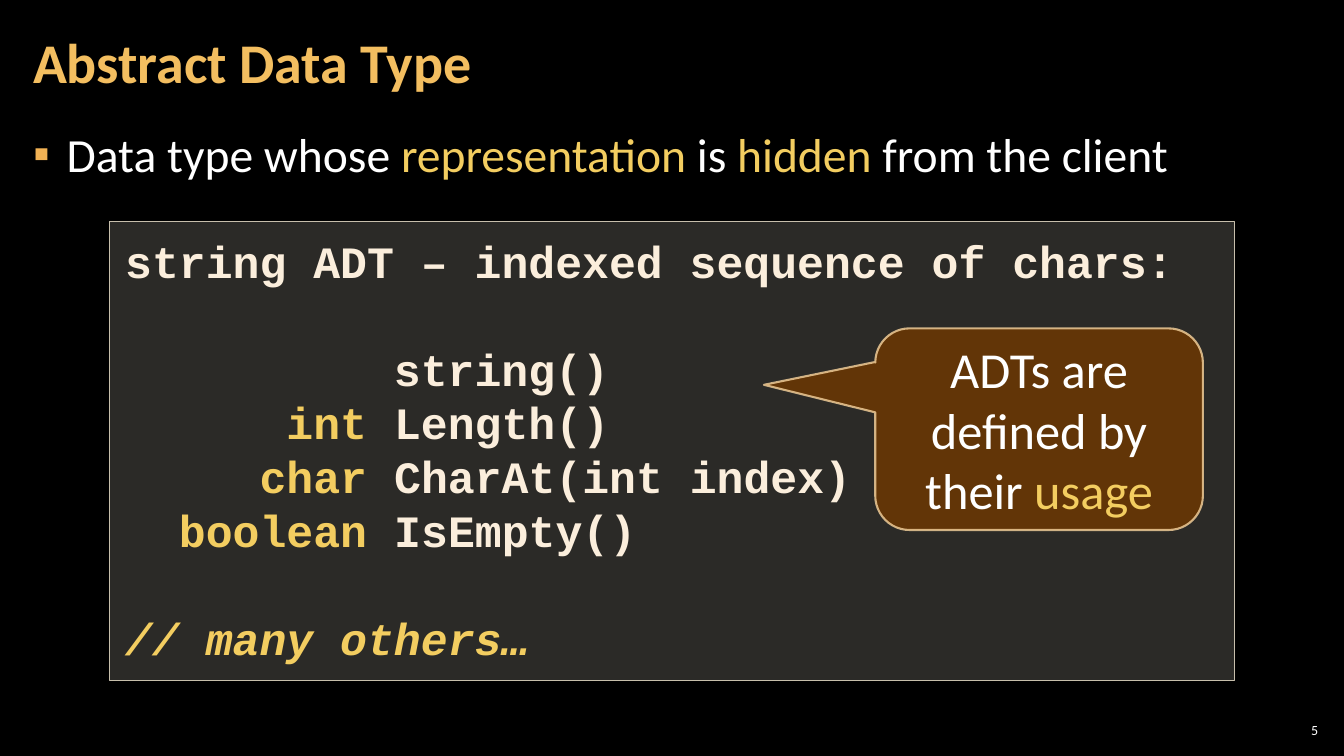
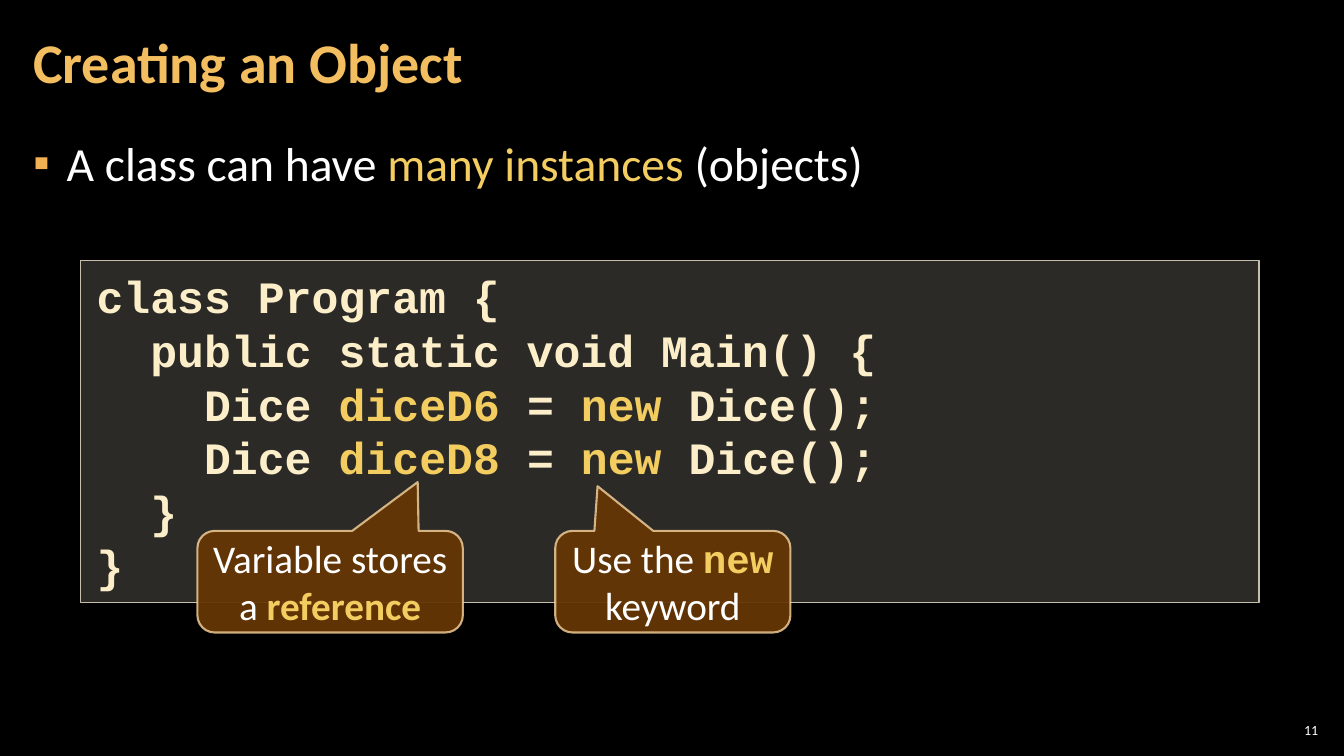
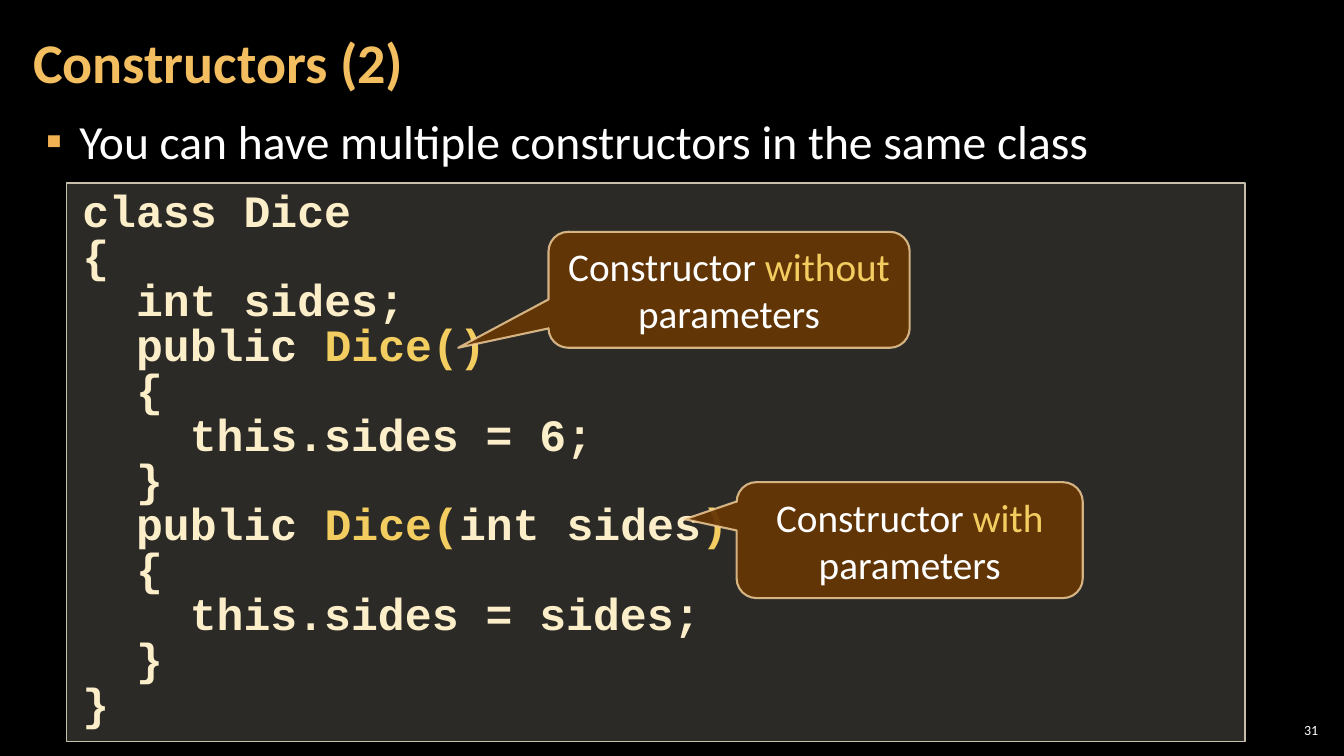
from lxml import etree
from pptx import Presentation
from pptx.dml.color import RGBColor
from pptx.enum.shapes import MSO_SHAPE
from pptx.enum.text import MSO_ANCHOR, MSO_AUTO_SIZE, PP_ALIGN
from pptx.oxml.ns import qn
from pptx.util import Inches, Pt

RECT = MSO_SHAPE.RECTANGLE
CALLOUT = MSO_SHAPE.ROUNDED_RECTANGULAR_CALLOUT
TOP, MIDDLE = MSO_ANCHOR.TOP, MSO_ANCHOR.MIDDLE
LEFT, CENTER, RIGHT = PP_ALIGN.LEFT, PP_ALIGN.CENTER, PP_ALIGN.RIGHT
NO_FIT = MSO_AUTO_SIZE.NONE

COLORS = {
    "back": "000000", "text": "FFFFFF", "title": "F3BE60",
    "accent": "F3CD60", "bullet": "F2B254", "cream": "FBEEDC",
    "code": "FBEEC9", "panel": "D9D5C7", "panel_line": "C7BFAC",
    "callout": "663606", "callout_line": "F8D49E",
}
SANS, MONO = "Calibri", "Courier New"
COLUMNS, ROWS = 160, 90
CODE_SIZE = 32
CHAR_WIDTH = 0.6 * CODE_SIZE
STYLES = {
    "hot": {"color": "accent"},
    "strong": {"color": "accent", "bold": True},
    "mono": {"color": "accent", "bold": True, "font": MONO},
    "note": {"color": "accent", "italic": True},
}


def rgb(name):
    return RGBColor.from_string(COLORS[name])


def set_alpha(fill, percent):
    color = fill._xPr.find(qn("a:solidFill"))[0]
    etree.SubElement(color, qn("a:alpha")).set("val", str(percent * 1000))


class Deck:
    def __init__(self):
        self.prs = Presentation()
        self.prs.slide_width, self.prs.slide_height = Inches(40 / 3), Inches(7.5)
        self.col = self.prs.slide_width / COLUMNS
        self.row = self.prs.slide_height / ROWS
        fill = self.prs.slide_master.background.fill
        fill.solid()
        fill.fore_color.rgb = rgb("back")
        self.s = None

    def box(self, x, y, w, h):
        return (int(x * self.col), int(y * self.row),
                int(w * self.col), int(h * self.row))

    def frame(self, sp, anchor, side, edge):
        tf = sp.text_frame
        tf.auto_size = NO_FIT
        tf.word_wrap = True
        tf.vertical_anchor = anchor
        tf.margin_left = tf.margin_right = int(side * self.col)
        tf.margin_top = tf.margin_bottom = int(edge * self.row)
        return tf

    def add_runs(self, p, parts, size, color="text", font=SANS, bold=False, align=LEFT):
        p.alignment = align
        for part in [parts] if isinstance(parts, str) else parts:
            text, style = (part, {}) if isinstance(part, str) else (part[0], STYLES[part[1]])
            r = p.add_run()
            r.text = text
            r.font.size = Pt(size)
            r.font.name = style.get("font", font)
            r.font.bold = style.get("bold", bold)
            r.font.italic = style.get("italic", False)
            r.font.color.rgb = rgb(style.get("color", color))

    def place(self, sp, at):
        sp.left, sp.top, sp.width, sp.height = self.box(*at)
        return sp

    def slide(self, title, number):
        self.s = self.prs.slides.add_slide(self.prs.slide_layouts[1])
        sp = self.place(self.s.shapes.title, (2.5, 0.5, 128.2, 14.5))
        p = self.frame(sp, MIDDLE, 1.44, 0.5).paragraphs[0]
        p.line_spacing = 0.9
        self.add_runs(p, title, 40, "title", bold=True)
        sp = self.s.shapes.add_textbox(*self.box(151.8, 85.7, 5.64, 2.5))
        p = self.frame(sp, MIDDLE, 0.5, 0.5).paragraphs[0]
        self.add_runs(p, number, 10, align=RIGHT)

    def bullet(self, x, y, parts):
        sp = self.place(self.s.placeholders[1], (x, y, 155, 73))
        p = self.frame(sp, TOP, 1.44, 0.5).paragraphs[0]
        p.line_spacing = 1.05
        p.space_before = p.space_after = Pt(6)
        self.add_runs(p, parts, 34)
        pPr = p._p.get_or_add_pPr()
        pPr.set("marL", str(int(4 * self.col)))
        pPr.set("indent", str(int(-4 * self.col)))
        color = etree.SubElement(etree.SubElement(pPr, qn("a:buClr")), qn("a:srgbClr"))
        color.set("val", COLORS["bullet"])
        etree.SubElement(pPr, qn("a:buChar")).set("char", "▪")

    def shape(self, kind, at, fill, alpha, line, width):
        sp = self.s.shapes.add_shape(kind, *self.box(*at))
        sp.shadow.inherit = False
        sp.fill.solid()
        sp.fill.fore_color.rgb = rgb(fill)
        set_alpha(sp.fill, alpha)
        sp.line.color.rgb = rgb(line)
        sp.line.width = Pt(width)
        return sp

    def code(self, at, lines, spacing=38.4, color="code", edge=1):
        sp = self.shape(RECT, at, "panel", 20, "panel_line", 1)
        tf = self.frame(sp, TOP, 1.9, edge)
        for i, (indent, parts, gap) in enumerate(lines):
            p = tf.add_paragraph() if i else tf.paragraphs[0]
            p.line_spacing = Pt(spacing)
            p.space_before = Pt(gap * spacing)
            self.add_runs(p, parts, CODE_SIZE, color, MONO, True)
            p._p.get_or_add_pPr().set("marL", str(Pt(indent * CHAR_WIDTH)))

    def callout(self, at, tip, parts, size=28):
        sp = self.shape(CALLOUT, at, "callout", 95, "callout_line", 1.5)
        set_alpha(sp.line.fill, 80)
        for i, value in enumerate((*tip, 0.17)):
            sp.adjustments[i] = value
        p = self.frame(sp, MIDDLE, 1.2, 0.6).paragraphs[0]
        self.add_runs(p, parts, size, align=CENTER)


def constructor(signature, value):
    return [(2, ["public ", *signature], 0), (2, "{", 0),
            (4, f"this.sides = {value};", 0), (2, "}", 0)]


def main():
    deck = Deck()

    deck.slide("Abstract Data Type", "5")
    deck.bullet(2.5, 14, ["Data type whose ", ("representation", "hot"), " is ",
                          ("hidden", "hot"), " from the client"])
    methods = [("int", "Length()"), ("char", "CharAt(int index)"), ("boolean", "IsEmpty()")]
    deck.code((13, 26.4, 134, 54.6), [
        (0, "string ADT – indexed sequence of chars:", 0),
        (10, "string()", 1),
        *[(9 - len(kind), [(kind, "hot"), " " + name], 0) for kind, name in methods],
        (0, [("// many others…", "note")], 1),
    ], color="cream", edge=1.44)
    deck.callout((104.2, 39.1, 39, 24), (-0.84, -0.22),
                 ["ADTs are defined by their ", ("usage", "hot")], 36)

    deck.slide("Creating an Object", "11")
    deck.bullet(2.5, 15.1, ["A class can have ", ("many instances", "hot"), " (objects)"])
    deck.code((9.6, 31, 140.3, 40.7), [
        (0, "class Program {", 0),
        (2, "public static void Main() {", 0),
        *[(4, ["Dice ", (name, "hot"), " = ", ("new", "hot"), " Dice();"], 0)
          for name in ("diceD6", "diceD8")],
        (2, "}", 0),
        (0, "}", 0),
    ])
    deck.callout((66.1, 63.2, 28, 12.1), (-0.32, -0.94),
                 ["Use the ", ("new", "mono"), " keyword"])
    deck.callout((23.5, 63.2, 31.6, 12.1), (0.33, -0.98),
                 ["Variable stores a ", ("reference", "strong")])

    deck.slide("Constructors (2)", "31")
    deck.bullet(4, 12.5, "You can have multiple constructors in the same class")
    deck.code((7.9, 21.8, 140.3, 66.5), [
        (0, "class Dice", 0),
        (0, "{", 0),
        (2, "int sides;", 0),
        *constructor([("Dice()", "hot")], "6"),
        *constructor([("Dice(", "hot"), "int sides", (")", "hot")], "sides"),
        (0, "}", 0),
    ], spacing=32)
    deck.callout((87.7, 57.4, 41.2, 13.8), (-0.65, -0.18),
                 ["Constructor ", ("with", "hot"), " parameters"])
    deck.callout((65.3, 27.6, 43, 13.8), (-0.75, 0.5),
                 ["Constructor ", ("without", "hot"), " parameters"])

    deck.prs.save("out.pptx")


if __name__ == "__main__":
    main()
